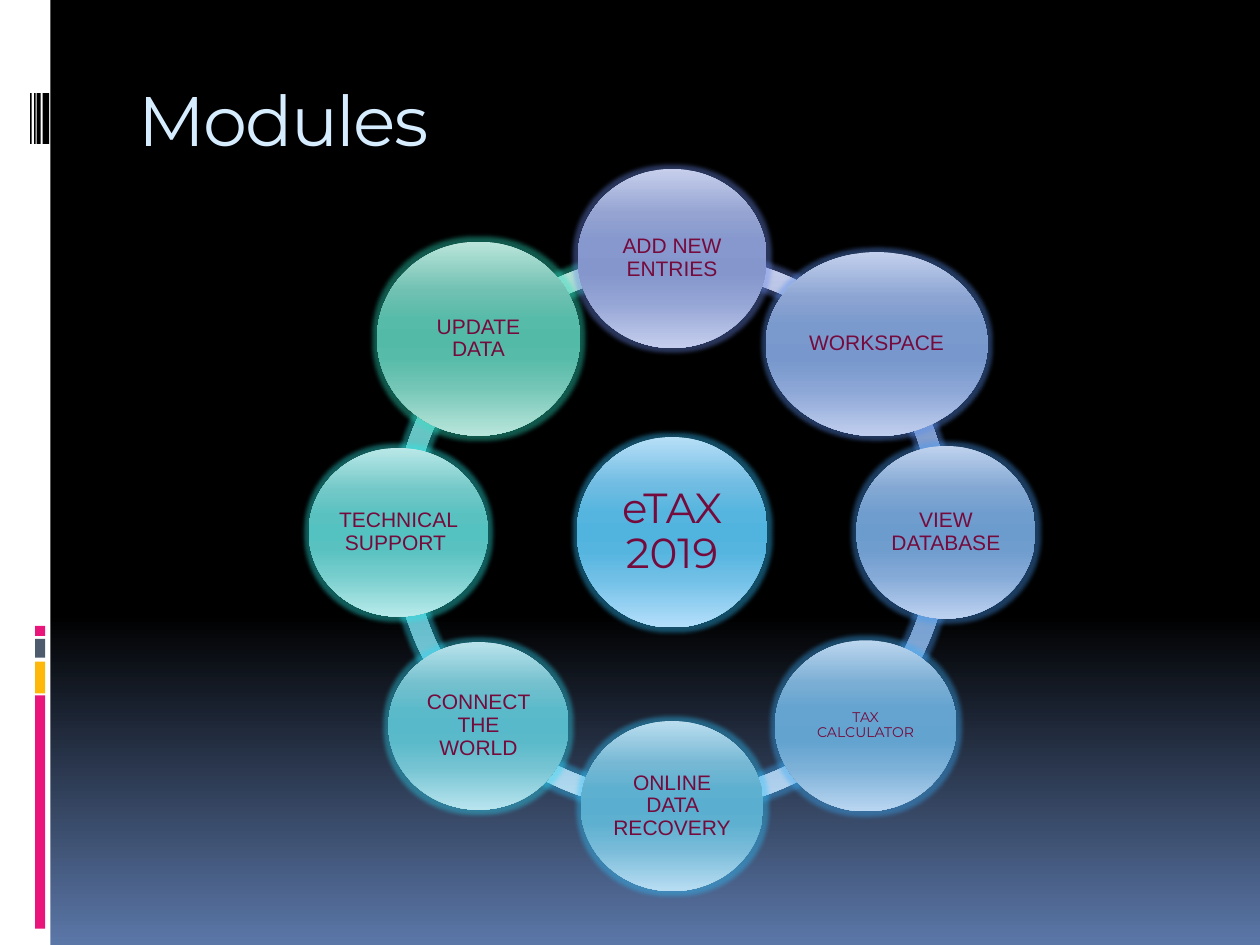
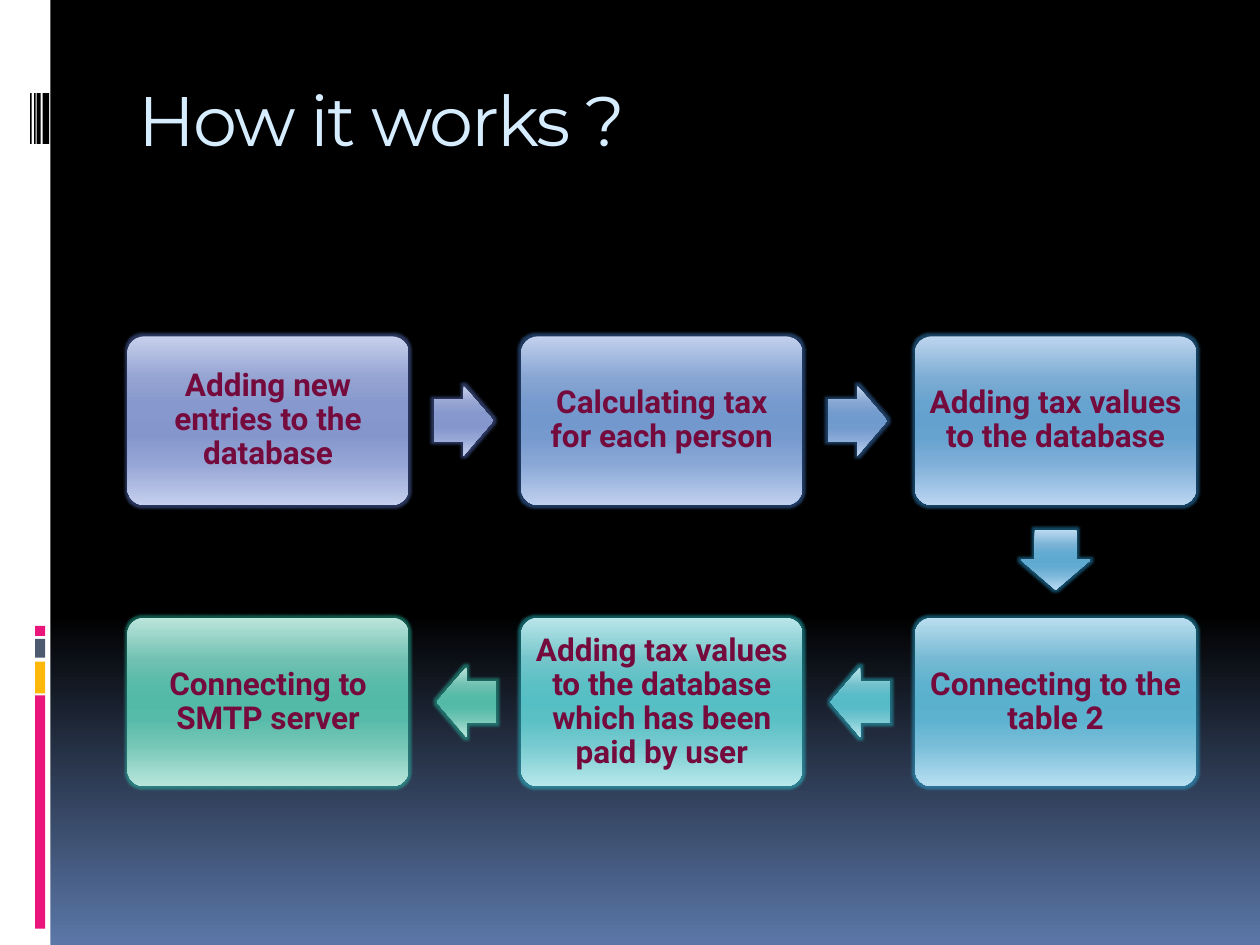
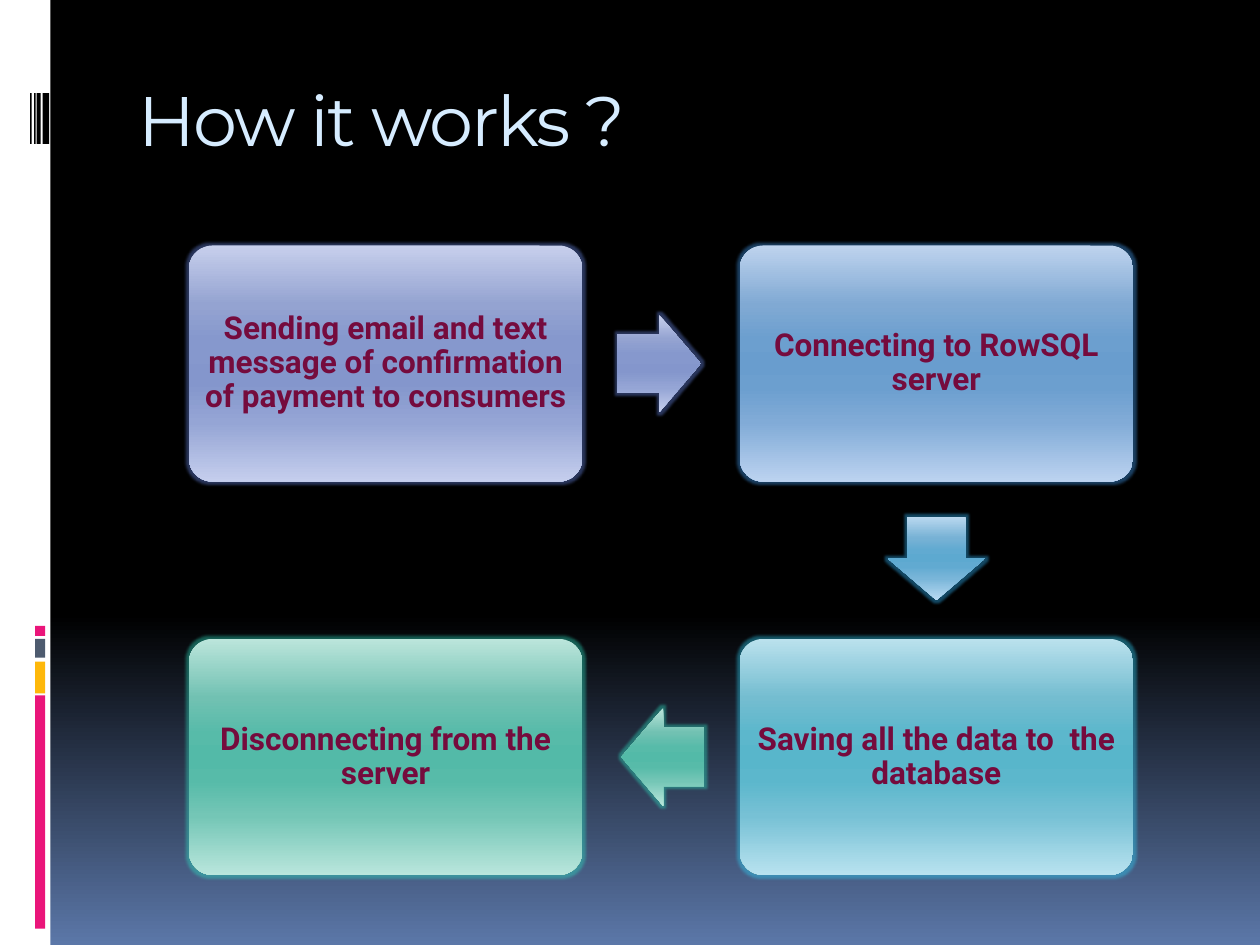
from dataclasses import dataclass
from itertools import pairwise
from math import atan2, cos, degrees, radians, sin

from lxml.etree import SubElement
from pptx import Presentation
from pptx.dml.color import RGBColor
from pptx.enum.shapes import MSO_SHAPE
from pptx.enum.text import MSO_ANCHOR, PP_ALIGN
from pptx.oxml.ns import qn
from pptx.util import Cm, Pt


@dataclass(frozen=True)
class Theme:
    title_font: str = "Montserrat"
    module_font: str = "Arial"
    step_font: str = "Roboto"
    title_size: int = 40
    hub_size: int = 24
    step_size: int = 18
    module_size: int = 12
    small_size: int = 8
    title: str = "D6ECFF"
    label: str = "750B3D"
    black: str = "000000"
    white: str = "FFFFFF"
    pink: str = "EA157A"
    amber: str = "FEB80A"
    slate: str = "4E5B6F"
    horizon: str = "5B77A8"


THEME = Theme()

# Colours of each glossy fill at 0, 25, 40 and 60, 50, 75 and 100 percent
HUES = {
    "lavender": "C7CFEC 94A3D1 8698CD 8496CC 95A5D5 C5CEED",
    "periwinkle": "C3D0ED 8BA4D2 7A99CD 7897CD 8CA6D6 C1CFEE",
    "iris": "C1D0ED 87A5D2 769ACE 7398CD 89A7D6 BFD0EF",
    "cornflower": "C0D1ED 84A6D2 729BCE 6F9ACD 86A8D6 BED1EF",
    "blue": "BFD2EE 82A7D2 6F9DCE 6C9BCE 84A9D7 BDD2F0",
    "denim": "BED3EE 80A9D3 6C9FCF 699DCE 81ABD7 BCD3F0",
    "steel": "BDD5EF 7CACD3 67A3CF 64A1CF 7EAFD8 BBD5F1",
    "azure": "BCD6EF 7BAED4 65A4D0 62A3CF 7DB1D8 BAD6F1",
    "sky": "BBD9F0 78B2D5 61AAD1 5DA9D0 7AB6D9 B9DAF2",
    "bright": "B7DFF8 70BCE2 55B5DF 50B4DF 72C0E7 B4DFFB",
    "cerulean": "BADDEF 76B8D4 5EB0D0 5AAFD0 78BBD9 B8DDF2",
    "lagoon": "BADEEF 75B9D3 5DB2CF 59B1CE 77BDD8 B8DFF1",
    "pool": "BAE1ED 74BDD0 5CB7CC 58B6CB 77C1D5 B8E2EF",
    "cyan": "BAE3EC 74C0CE 5BBACA 57B9C9 76C4D3 B8E4EE",
    "aqua": "BAE4EB 73C2CD 5ABCC8 56BBC7 76C7D1 B8E6ED",
    "turquoise": "BAE6EA 73C5CA 5AC0C5 55BFC5 75CACF B8E8EC",
    "teal": "BAE8E8 72C8C7 59C2C1 54C2C0 75CDCC B8EAEA",
    "green": "BBE5DB 71C1B2 57BBA9 53BAA8 74C6B6 B9E6DC",
}


def glossy_stops(hue):
    top, upper, near, middle, lower, bottom = HUES[hue].split()
    return list(zip((0, 25, 40, 50, 60, 75, 100),
                    (top, upper, near, middle, near, lower, bottom)))


def fill_vertically(fill, owner, stops):
    """Give fill, found inside the element owner, a top to bottom gradient."""
    fill.gradient()
    fill.gradient_angle = 270
    stop_list = owner.find(".//" + qn("a:gsLst"))
    stop_list.getparent().set("rotWithShape", "0")
    stop_list.clear()
    for percent, color in stops:
        stop = SubElement(stop_list, qn("a:gs"), pos=str(percent * 1000))
        SubElement(stop, qn("a:srgbClr"), val=color)


@dataclass
class Module:
    label: str
    width: float
    height: float
    hue: str
    size: int = THEME.module_size
    font: str = THEME.module_font
    shift: tuple = (0, 0)
    arc: tuple = ()  # start and end angle, where they leave the regular ring
    arc_shift: tuple = (0, 0)


class Deck:
    BANDS = [
        (0, 0, 1.02, 19.05, THEME.white),
        (0.71, 14.02, 0.2, 4.7, THEME.pink),
        (0.71, 13.34, 0.2, 0.64, THEME.amber),
        (0.71, 12.88, 0.2, 0.38, THEME.slate),
        (0.71, 12.62, 0.2, 0.2, THEME.pink),
    ]
    BARCODE = [(0.86, 0.13), (0.74, 0.08), (0.69, 0.03), (0.61, 0.03)]

    def __init__(self):
        self.presentation = Presentation()
        self.presentation.slide_width = Cm(25.4)
        self.presentation.slide_height = Cm(19.05)
        self.slide = None

    def start_slide(self, title):
        layout = self.presentation.slide_layouts[6]
        self.slide = self.presentation.slides.add_slide(layout)
        fill_vertically(self.slide.background.fill, self.slide._element,
                        [(0, THEME.black), (65, THEME.black), (100, THEME.horizon)])
        for band in self.BANDS:
            self.band(*band)
        for left, width in self.BARCODE:
            self.band(left, 1.88, width, 1.02, THEME.black)
        self.title(title)

    def band(self, left, top, width, height, color):
        band = self.slide.shapes.add_shape(
            MSO_SHAPE.RECTANGLE, Cm(left), Cm(top), Cm(width), Cm(height))
        band.shadow.inherit = False
        band.line.fill.background()
        band.fill.solid()
        band.fill.fore_color.rgb = RGBColor.from_string(color)

    def title(self, text):
        box = self.slide.shapes.add_textbox(Cm(2.54), Cm(1.42), Cm(21.59), Cm(2.54))
        box.text_frame.word_wrap = True
        paragraph = box.text_frame.paragraphs[0]
        run = paragraph.add_run()
        run.text = text
        run._r.get_or_add_rPr().set("spc", "-100")
        self.style(paragraph, THEME.title_font, THEME.title_size, THEME.title)

    def style(self, paragraph, font, size, color, bold=False):
        paragraph.font.name = font
        paragraph.font.size = Pt(size)
        paragraph.font.bold = bold
        paragraph.font.color.rgb = RGBColor.from_string(color)

    def glossy(self, kind, center, width, height, hue, adjustments=(), glow=5):
        """Add a glowing gradient shape around its center point."""
        x, y = center
        shape = self.slide.shapes.add_shape(
            kind, Cm(x - width / 2), Cm(y - height / 2), Cm(width), Cm(height))
        for index, value in enumerate(adjustments):
            shape.adjustments[index] = value
        shape.line.fill.background()
        properties = shape._element.spPr
        fill_vertically(shape.fill, properties, glossy_stops(hue))
        shape.shadow.inherit = False
        halo = SubElement(properties.find(qn("a:effectLst")), qn("a:glow"),
                          rad=str(Pt(glow)))
        color = SubElement(halo, qn("a:srgbClr"), val=HUES[hue].split()[3])
        SubElement(color, qn("a:satMod"), val="175000")
        SubElement(color, qn("a:alpha"), val="40000")
        return shape

    def label(self, shape, text, font, size, inset, bold=False):
        frame = shape.text_frame
        frame.word_wrap = True
        frame.vertical_anchor = MSO_ANCHOR.MIDDLE
        frame.margin_left = frame.margin_right = Cm(inset)
        frame.margin_top = frame.margin_bottom = Cm(inset)
        paragraph = frame.paragraphs[0]
        paragraph.text = text
        paragraph.alignment = PP_ALIGN.CENTER
        paragraph.line_spacing = 0.9
        self.style(paragraph, font, size, THEME.label, bold)

    def ring(self, hub, modules):
        """Place modules clockwise from the top around a hub."""
        x, y, radius, arc_size = 13.55, 10.73, 5.52, 11.25
        step = 360 / len(modules)
        placed = [((index * step - 90) % 360, module)
                  for index, module in enumerate(modules)]
        for angle, module in reversed(placed):
            start, end = module.arc or (angle, (angle + step) % 360)
            dx, dy = module.arc_shift
            # Adjustments count 100000ths, angles 60000ths of a degree
            self.glossy(MSO_SHAPE.BLOCK_ARC, (x + dx, y + dy), arc_size, arc_size,
                        module.hue, (start * 0.6, end * 0.6, 0.034))
        for angle, module in [(None, hub), *placed]:
            dx, dy = module.shift
            if angle is not None:
                dx += radius * cos(radians(angle))
                dy += radius * sin(radians(angle))
            bubble = self.glossy(MSO_SHAPE.OVAL, (x + dx, y + dy),
                                 module.width, module.height, module.hue)
            self.label(bubble, module.label, module.font, module.size, 0.05)

    def flow(self, left, top, width, columns, steps, arrow_hues):
        """Lay steps out in rows of alternating direction, joined by arrows."""
        height = 0.6 * width
        centers = []
        for index in range(len(steps)):
            row, column = divmod(index, columns)
            if row % 2:
                column = columns - 1 - column
            centers.append((left + width / 2 + column * 1.4 * width,
                            top + height / 2 + row * width))
        for center, (text, hue) in zip(centers, steps):
            box = self.glossy(MSO_SHAPE.ROUNDED_RECTANGLE, center, width, height,
                              hue, (0.1,), glow=3)
            self.label(box, text, THEME.step_font, THEME.step_size, 0.18, bold=True)
        for ((x1, y1), (x2, y2)), hue in zip(pairwise(centers), arrow_hues):
            direction = atan2(y2 - y1, x2 - x1)
            setback = 0.005 * width
            middle = ((x1 + x2) / 2 - setback * cos(direction),
                      (y1 + y2) / 2 - setback * sin(direction))
            arrow = self.glossy(MSO_SHAPE.RIGHT_ARROW, middle, 0.212 * width,
                                0.248 * width, hue, (0.6, 0.5), glow=3)
            arrow.rotation = degrees(direction)


def main():
    deck = Deck()

    deck.start_slide("Modules")
    deck.ring(
        Module("eTAX 2019", 3.84, 3.84, "bright", THEME.hub_size, THEME.title_font),
        [
            Module("ADD NEW ENTRIES", 3.81, 3.61, "lavender",
                   arc=(268.78, 316.65), arc_shift=(0.1, 0)),
            Module("WORKSPACE", 4.47, 3.71, "periwinkle", shift=(0.22, 0.11),
                   arc=(318.44, 1.33), arc_shift=(0, -0.13)),
            Module("VIEW DATABASE", 3.61, 3.48, "blue"),
            Module("TAX CALCULATOR", 3.66, 3.45, "azure",
                   THEME.small_size, THEME.title_font),
            Module("ONLINE DATA RECOVERY", 3.68, 3.43, "cerulean"),
            Module("CONNECT THE WORLD", 3.63, 3.38, "cyan"),
            Module("TECHNICAL SUPPORT ", 3.61, 3.4, "teal"),
            Module("UPDATE DATA", 4.09, 3.91, "green"),
        ])

    deck.start_slide("How it works ?")
    deck.flow(2.57, 6.78, 5.67, 3, [
        ("Adding new entries to the database", "lavender"),
        ("Calculating tax for each person", "iris"),
        ("Adding tax values to the database", "steel"),
        ("Connecting to the table 2", "lagoon"),
        ("Adding tax values to the database which has been paid by user", "turquoise"),
        ("Connecting to SMTP server", "green"),
    ], ["lavender", "cornflower", "sky", "aqua", "green"])

    deck.start_slide("How it works ?")
    deck.flow(3.81, 4.95, 7.93, 2, [
        ("Sending email and text message of confirmation of payment to consumers",
         "lavender"),
        ("Connecting to RowSQL server", "denim"),
        ("Saving all the data to  the database", "pool"),
        ("Disconnecting from the server", "green"),
    ], ["lavender", "sky", "green"])

    deck.presentation.save("out.pptx")


if __name__ == "__main__":
    main()
